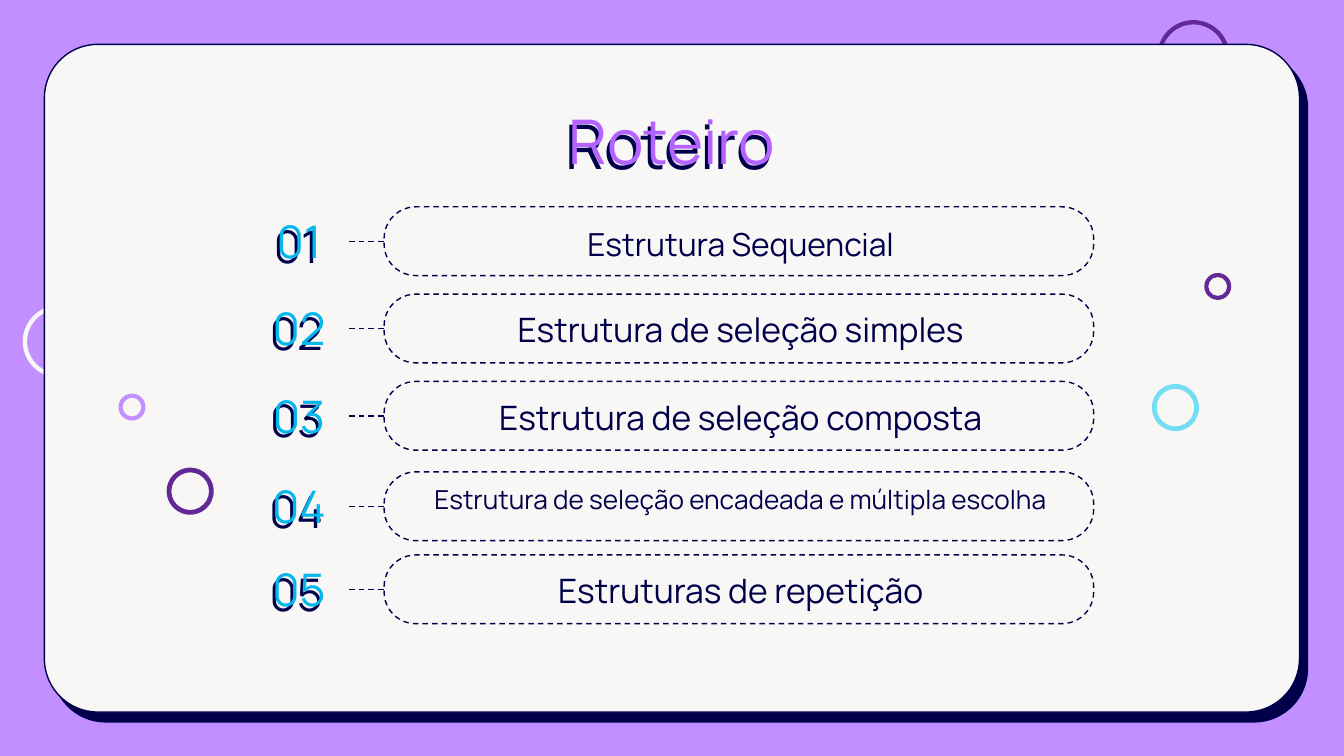
import lxml.etree
import pptx
import pptx.dml.color
import pptx.enum.dml
import pptx.enum.shapes
import pptx.enum.text
import pptx.oxml.ns
import pptx.util

Cm, Pt = pptx.util.Cm, pptx.util.Pt
Kind = pptx.enum.shapes.MSO_SHAPE
Anchor = pptx.enum.text.MSO_ANCHOR
qn = pptx.oxml.ns.qn

THEME = {
    "font": "Manrope",
    "back": "C18FFF", "paper": "F8F7F5", "ink": "00004A",
    "head": "B563FF", "num": "03B7EC",
    "plum": "622996", "sky": "74DDF3",
    "head_pt": 33, "num_pt": 24, "line_pt": 0.75,
}

TITLE = "Roteiro"
# label, type size, pill top, label shift (cm)
ITEMS = [
    ("Estrutura Sequencial", 17, 3.91, 0),
    ("Estrutura de seleção simples", 18, 5.56, 0),
    ("Estrutura de seleção composta", 18, 7.21, 0),
    ("Estrutura de seleção encadeada e múltipla escolha", 14, 8.92, -0.24),
    ("Estruturas de repetição", 18, 10.49, 0),
]
# left, top, size (cm), ring width ratio, colour
BACK_RINGS = [
    (21.87, 0.38, 1.37, 0.06, "plum"),
    (0.43, 5.77, 1.37, 0.06, "paper"),
]
RINGS = [
    (3.15, 8.84, 0.89, 0.1, "plum"),
    (22.76, 5.16, 0.51, 0.15, "plum"),
    (21.77, 7.26, 0.89, 0.1, "sky"),
    (2.24, 7.44, 0.51, 0.15, "back"),
]
CARD = (0.84, 0.84, 23.72, 12.62)
HEAD = (1.98, 1.7, 21.44, 1.7)
PILL_X, PILL_W, PILL_H = 7.26, 13.41, 1.3
NUM_X, NUM_W = 4.7, 1.9
TEXT_X, TEXT_W, TEXT_H = 7.7, 12.6, 1.32


def tint(name):
    return pptx.dml.color.RGBColor.from_string(THEME[name])


def shade(shape, dist, angle):
    """Give the shape, or its bare text, a hard ink shadow."""
    shape.shadow.inherit = False
    glow = lxml.etree.SubElement(
        shape.element.spPr.find(qn("a:effectLst")), qn("a:outerShdw"),
        blurRad="0", dist=str(Pt(dist)), dir=str(angle * 60000),
        algn="bl", rotWithShape="0")
    lxml.etree.SubElement(glow, qn("a:srgbClr"), val=THEME["ink"])


def stroke(line, dash=True):
    line.color.rgb = tint("ink")
    line.width = Pt(THEME["line_pt"])
    if dash:
        line.dash_style = pptx.enum.dml.MSO_LINE.DASH


def add_form(shapes, kind, box, ratio, fill):
    form = shapes.add_shape(kind, *map(Cm, box))
    form.adjustments[0] = ratio
    form.shadow.inherit = False
    form.fill.solid()
    form.fill.fore_color.rgb = tint(fill)
    form.line.fill.background()
    return form


def add_rings(shapes, rings):
    for left, top, size, ratio, fill in rings:
        add_form(shapes, Kind.DONUT, (left, top, size, size), ratio, fill)


def write(shape, text, size, color, anchor):
    frame = shape.text_frame
    frame.word_wrap = True
    frame.auto_size = pptx.enum.text.MSO_AUTO_SIZE.NONE
    frame.vertical_anchor = anchor
    frame.margin_left = frame.margin_right = Cm(0.25)
    frame.margin_top = frame.margin_bottom = Cm(0.25)
    para = frame.paragraphs[0]
    para.alignment = pptx.enum.text.PP_ALIGN.CENTER
    run = para.add_run()
    run.text = text
    run.font.name = THEME["font"]
    run.font.size = Pt(size)
    run.font.color.rgb = tint(color)


def add_item(shapes, num, label, size, top, shift):
    pill = add_form(shapes, Kind.ROUNDED_RECTANGLE,
                    (PILL_X, top, PILL_W, PILL_H), 0.46, "paper")
    stroke(pill.line)

    mid = Cm(top + PILL_H / 2)
    link = shapes.add_connector(pptx.enum.shapes.MSO_CONNECTOR.STRAIGHT,
                                Cm(NUM_X + NUM_W), mid, Cm(PILL_X), mid)
    stroke(link.line)
    lxml.etree.SubElement(link.element.spPr, qn("a:effectLst"))

    base = top - 0.02
    mark = shapes.add_textbox(*map(Cm, (NUM_X, base, NUM_W, TEXT_H)))
    write(mark, f"{num:02}", THEME["num_pt"], "num", Anchor.MIDDLE)
    shade(mark, 3, 120)

    body = shapes.add_textbox(*map(Cm, (TEXT_X, base + shift, TEXT_W, TEXT_H)))
    write(body, label, size, "ink", Anchor.BOTTOM)


def main():
    deck = pptx.Presentation()
    deck.slide_width, deck.slide_height = Cm(25.4), Cm(14.29)
    slide = deck.slides.add_slide(deck.slide_layouts.get_by_name("Title Only"))
    slide.background.fill.solid()
    slide.background.fill.fore_color.rgb = tint("back")
    shapes = slide.shapes

    add_rings(shapes, BACK_RINGS)
    card = add_form(shapes, Kind.ROUNDED_RECTANGLE, CARD, 0.08, "paper")
    stroke(card.line, dash=False)
    shade(card, 6.8, 51)
    add_rings(shapes, RINGS)

    head = shapes.title
    head.left, head.top, head.width, head.height = map(Cm, HEAD)
    write(head, TITLE, THEME["head_pt"], "head", Anchor.TOP)
    shade(head, 3, 120)
    shapes.element.append(head.element)  # bring in front of the card

    for num, item in enumerate(ITEMS, 1):
        add_item(shapes, num, *item)
    deck.save("out.pptx")


if __name__ == "__main__":
    main()
